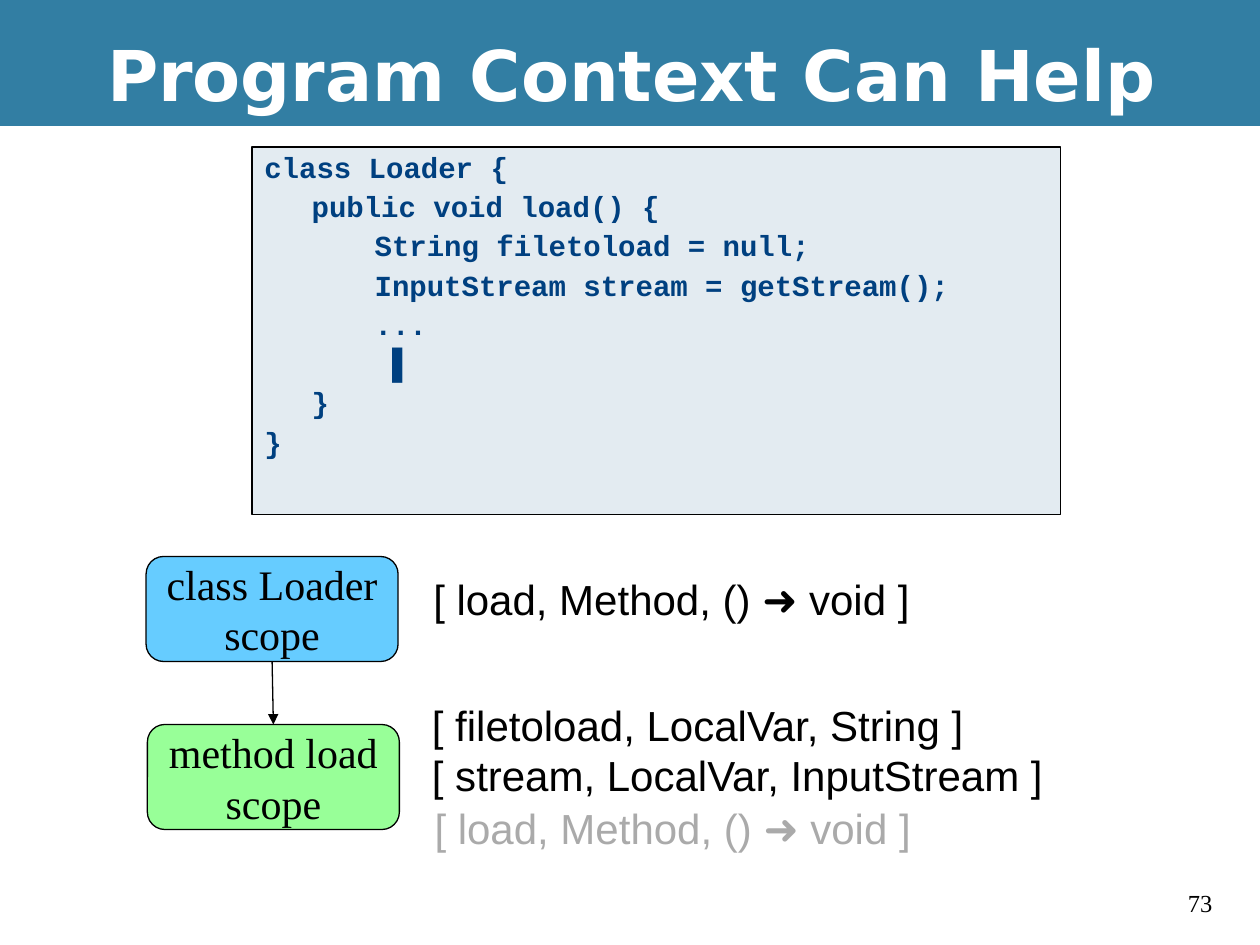
import dataclasses

import lxml.etree
import pptx
import pptx.dml.color
import pptx.enum.shapes
import pptx.enum.text
import pptx.oxml.ns
import pptx.util

Pt = pptx.util.Pt
Shape = pptx.enum.shapes.MSO_SHAPE
Anchor = pptx.enum.text.MSO_ANCHOR
Align = pptx.enum.text.PP_ALIGN


@dataclasses.dataclass(frozen=True)
class Theme:
    """Colours, fonts and type sizes of the slide."""

    band: str = "327EA3"
    white: str = "FFFFFF"
    ink: str = "000000"
    muted: str = "AAAAAA"
    panel: str = "E3EBF1"
    code: str = "004080"
    class_fill: str = "66CCFF"
    method_fill: str = "98FF98"
    title_font: str = "DejaVu Sans"
    code_font: str = "Courier New"
    scope_font: str = "Times New Roman"
    entry_font: str = "Arial"
    title_size: float = 40
    entry_size: float = 24
    code_size: float = 16.6
    number_size: float = 14
    line_width: float = 0.75


THEME = Theme()
CODE_LINES = [
    "class Loader {",
    "\tpublic void load() {",
    "\t\tString filetoload = null;",
    "\t\tInputStream stream = getStream();",
    "\t\t...",
    "\t\t ▌",
    "\t}",
    "}",
]
LOAD_ENTRY = "[ load, Method, () ➜ void ]"


def rgb(value):
    """Return a colour object for a hexadecimal value."""
    return pptx.dml.color.RGBColor.from_string(value)


def format_spans(paragraph, font, size, colour, bold=False):
    """Apply one type style to every run of a paragraph."""
    for span in paragraph.runs:
        span.font.name = font
        span.font.size = Pt(size)
        span.font.bold = bold
        span.font.color.rgb = rgb(colour)


def add_panel(page, kind, bounds, fill, outlined=True):
    """Add a flat filled shape with an optional thin outline."""
    box = page.shapes.add_shape(kind, *map(Pt, bounds))
    box.shadow.inherit = False
    box.fill.solid()
    box.fill.fore_color.rgb = rgb(fill)
    if outlined:
        box.line.color.rgb = rgb(THEME.ink)
        box.line.width = Pt(THEME.line_width)
    else:
        box.line.fill.background()
    return box


def add_title(page, text):
    """Place the slide title over the header band."""
    box = page.shapes.title
    box.left, box.top, box.width, box.height = map(Pt, (54, 6, 666, 72))
    frame = box.text_frame
    frame.text = text
    frame.auto_size = pptx.enum.text.MSO_AUTO_SIZE.NONE
    frame.vertical_anchor = Anchor.MIDDLE
    paragraph = frame.paragraphs[0]
    paragraph.alignment = Align.LEFT
    format_spans(paragraph, THEME.title_font, THEME.title_size, THEME.white, True)


def set_code_indent(paragraph):
    """Give a code line its hanging indent and one-inch tab stops."""
    properties = paragraph._p.get_or_add_pPr()
    properties.set("marL", str(Pt(27)))
    properties.set("indent", str(-Pt(27)))
    tag = pptx.oxml.ns.qn
    stops = lxml.etree.SubElement(properties, tag("a:tabLst"))
    for inch in range(8):
        stop = lxml.etree.SubElement(stops, tag("a:tab"))
        stop.set("pos", str(Pt(72 * inch)))
        stop.set("algn", "l")


def add_code(page, lines):
    """Add the code listing with its block cursor."""
    box = add_panel(page, Shape.RECTANGLE, (144, 84, 462, 210), THEME.panel)
    frame = box.text_frame
    frame.vertical_anchor = Anchor.TOP
    frame.text = "\n".join(lines)
    for index, paragraph in enumerate(frame.paragraphs):
        set_code_indent(paragraph)
        paragraph.alignment = Align.LEFT
        paragraph.line_spacing = 0.9
        if index:
            paragraph.space_before = Pt(4.5)
        before, cursor, _ = paragraph.text.partition("▌")
        if cursor:
            paragraph.text = before
            paragraph.add_run().text = cursor
        format_spans(paragraph, THEME.code_font, THEME.code_size, THEME.code, True)
        if cursor:
            paragraph.runs[-1].font.name = THEME.entry_font


def add_scope(page, left, top, text, fill):
    """Add a rounded scope box with a two-line label."""
    box = add_panel(page, Shape.ROUNDED_RECTANGLE, (left, top, 144, 60), fill)
    frame = box.text_frame
    frame.word_wrap = False
    frame.vertical_anchor = Anchor.MIDDLE
    paragraph = frame.paragraphs[0]
    paragraph.text = text
    paragraph.alignment = Align.CENTER
    format_spans(paragraph, THEME.scope_font, THEME.entry_size, THEME.ink)
    return box


def add_arrow(page, upper, lower):
    """Join two scope boxes with a downward arrow."""
    kind = pptx.enum.shapes.MSO_CONNECTOR.STRAIGHT
    arrow = page.shapes.add_connector(kind, 0, 0, 0, 0)
    arrow.begin_connect(upper, 2)
    arrow.end_connect(lower, 0)
    arrow.line.color.rgb = rgb(THEME.ink)
    arrow.line.width = Pt(THEME.line_width)
    tag = pptx.oxml.ns.qn
    outline = arrow.line._get_or_add_ln()
    lxml.etree.SubElement(outline, tag("a:tailEnd")).set("type", "triangle")
    lxml.etree.SubElement(arrow._element.spPr, tag("a:effectLst"))


def add_text(page, bounds, text, font, size, colour):
    """Add unwrapped text in one style."""
    box = page.shapes.add_textbox(*map(Pt, bounds))
    frame = box.text_frame
    frame.word_wrap = False
    frame.text = text
    for paragraph in frame.paragraphs:
        format_spans(paragraph, font, size, colour)


def add_entries(page, bounds, entries, colour=THEME.ink):
    """Add the symbol entries that belong to a scope."""
    text = "\n".join(entries)
    add_text(page, bounds, text, THEME.entry_font, THEME.entry_size, colour)


def main():
    """Build the slide and save the deck."""
    deck = pptx.Presentation()
    deck.slide_width, deck.slide_height = Pt(720), Pt(540)
    page = deck.slides.add_slide(deck.slide_layouts.get_by_name("Title Only"))
    band = add_panel(page, Shape.RECTANGLE, (0, 0, 720, 72), THEME.band, False)
    page.shapes.title._element.addprevious(band._element)
    add_title(page, "Program Context Can Help")
    add_code(page, CODE_LINES)
    upper = add_scope(page, 83.5, 318, "class Loader\nscope", THEME.class_fill)
    lower = add_scope(page, 84.24, 414, "method load\nscope", THEME.method_fill)
    add_arrow(page, upper, lower)
    add_entries(page, (240.5, 324, 286.5, 36), [LOAD_ENTRY])
    local_entries = ["[ filetoload, LocalVar, String ]", "[ stream, LocalVar, InputStream ]"]
    add_entries(page, (239.75, 396, 366.5, 65), local_entries)
    add_entries(page, (241.2, 455, 286.5, 36), [LOAD_ENTRY], THEME.muted)
    add_text(page, (671.75, 504, 36, 24.5), "73", THEME.scope_font, THEME.number_size, THEME.ink)
    deck.save("out.pptx")


if __name__ == "__main__":
    main()
